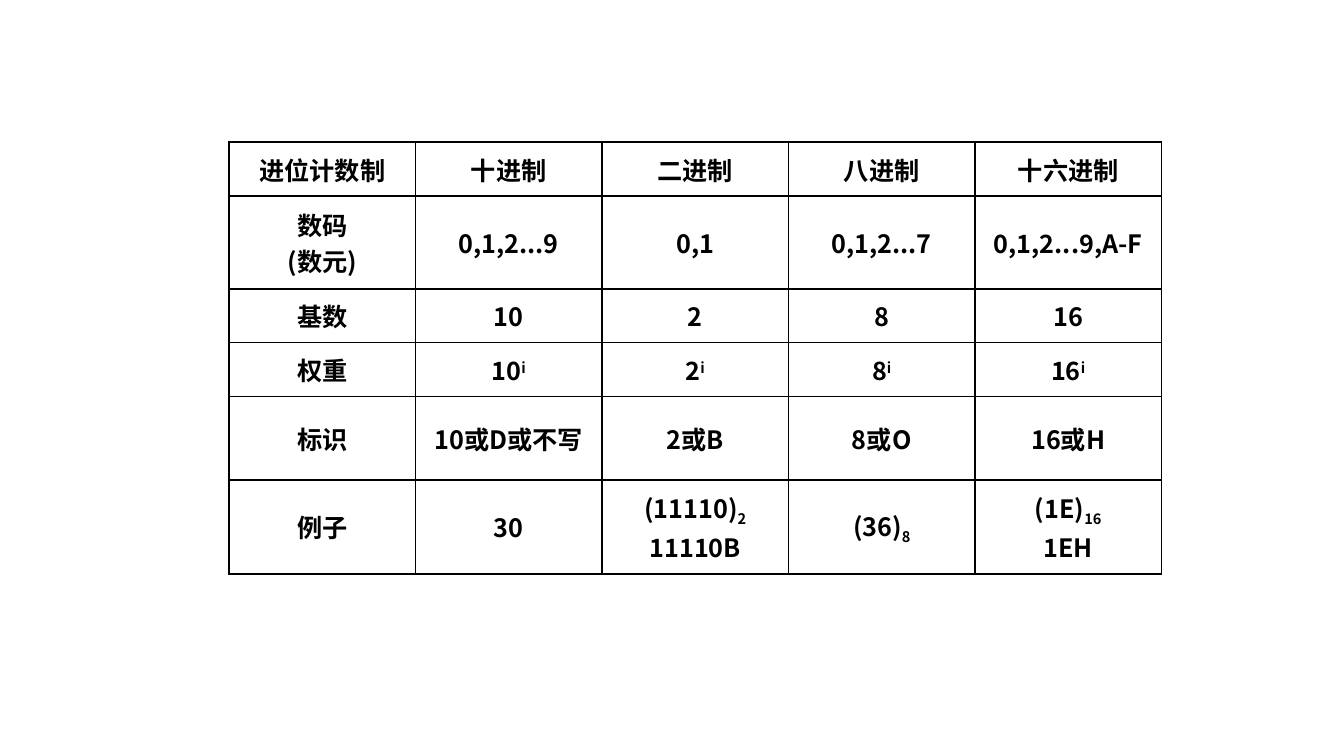
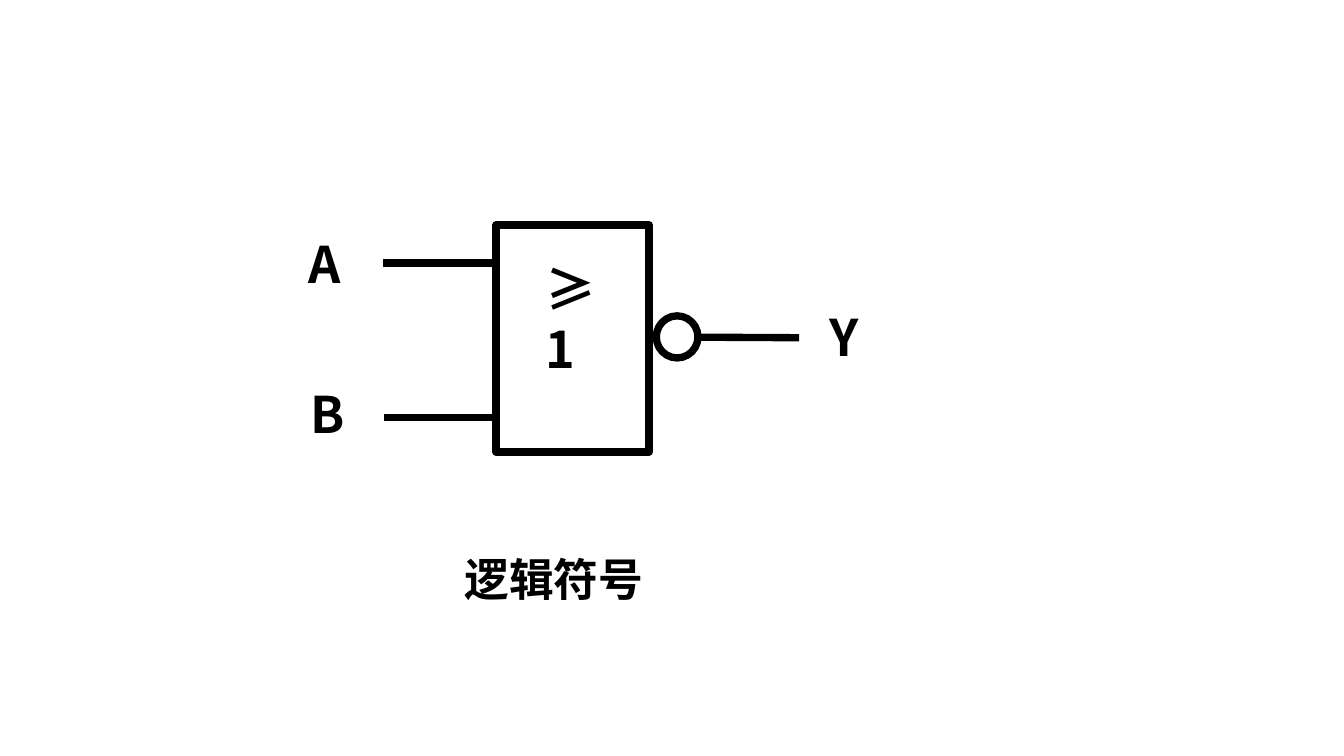
"""Build two slides: a number system table and the logic symbol of a NOR gate."""
from lxml import etree
from pptx import Presentation
from pptx.dml.color import RGBColor
from pptx.enum.shapes import MSO_CONNECTOR, MSO_SHAPE
from pptx.enum.text import MSO_ANCHOR, PP_ALIGN
from pptx.oxml.ns import qn
from pptx.util import Cm, Pt

BLACK = RGBColor(0x00, 0x00, 0x00)
WHITE = RGBColor(0xFF, 0xFF, 0xFF)
FONT = "Noto Sans CJK SC"
CENTER = PP_ALIGN.CENTER
MIDDLE = MSO_ANCHOR.MIDDLE
STRAIGHT = MSO_CONNECTOR.STRAIGHT
RECTANGLE = MSO_SHAPE.RECTANGLE
OVAL = MSO_SHAPE.OVAL

BASELINES = {"^": "30000", "_": "-25000"}
BORDER_WIDTH = Pt(1)
GATE_WIDTH = Pt(5.25)
TABLE_SIZE = 18
LABEL_SIZE = 36
CAPTION_SIZE = 32

COLUMN_WIDTH = 4.7
ROW_HEIGHTS = [1.36, 2.34, 1.36, 1.36, 1.36, 2.37]
NUMBER_SYSTEMS = [
    ["进位计数制", "十进制", "二进制", "八进制", "十六进制"],
    ["数码\n(数元)", "0,1,2...9", "0,1", "0,1,2...7", "0,1,2...9,A-F"],
    ["基数", "10", "2", "8", "16"],
    ["权重", "10^i", "2^i", "8^i", "16^i"],
    ["标识", "10或D或不写", "2或B", "8或O", "16或H"],
    ["例子", "30", "(11110)_2\n11110B", "(36)_8", "(1E)_16\n1EH"],
]


def add_span(para, text, size, baseline=None):
    """Add one bold black run, raised or lowered when a baseline is given."""
    span = para.add_run()
    span.text = text
    span.font.size = Pt(size)
    span.font.bold = True
    span.font.color.rgb = BLACK
    span.font.name = FONT
    properties = span.font._element
    etree.SubElement(properties, qn("a:ea"), typeface=FONT)
    if baseline:
        properties.set("baseline", baseline)


def add_marked_text(para, text, size):
    """Write text whose part after ^ is superscript and after _ subscript."""
    mark = next((mark for mark in BASELINES if mark in text), None)
    base, _, script = text.partition(mark) if mark else (text, "", "")
    add_span(para, base, size)
    if script:
        add_span(para, script, size, BASELINES[mark])


def set_borders(cell):
    """Draw a thin black line on all four sides of a cell."""
    properties = cell._tc.get_or_add_tcPr()
    for side in ("lnL", "lnR", "lnT", "lnB"):
        line = etree.SubElement(properties, qn(f"a:{side}"), w=str(BORDER_WIDTH))
        fill = etree.SubElement(line, qn("a:solidFill"))
        etree.SubElement(fill, qn("a:srgbClr"), val=str(BLACK))


def fill_cell(cell, text):
    """Give a cell its borders and its centred paragraphs."""
    set_borders(cell)
    cell.fill.background()
    cell.vertical_anchor = MIDDLE
    frame = cell.text_frame
    for index, line in enumerate(text.split("\n")):
        para = frame.add_paragraph() if index else frame.paragraphs[0]
        para.alignment = CENTER
        add_marked_text(para, line, TABLE_SIZE)


def add_grid(page, left, top, rows):
    """Add a plain ruled table with equal columns."""
    count = len(rows[0])
    frame = page.shapes.add_table(
        len(rows), count, Cm(left), Cm(top),
        Cm(COLUMN_WIDTH * count), Cm(sum(ROW_HEIGHTS)))
    table = frame.table
    table.first_row = False
    table.horz_banding = False
    for column in table.columns:
        column.width = Cm(COLUMN_WIDTH)
    for row, height, texts in zip(table.rows, ROW_HEIGHTS, rows):
        row.height = Cm(height)
        for cell, text in zip(row.cells, texts):
            fill_cell(cell, text)


def add_outline(page, kind, left, top, width, height):
    """Add a white shape with a heavy black outline."""
    shape = page.shapes.add_shape(kind, Cm(left), Cm(top), Cm(width), Cm(height))
    shape.shadow.inherit = False
    shape.fill.solid()
    shape.fill.fore_color.rgb = WHITE
    shape.line.color.rgb = BLACK
    shape.line.width = GATE_WIDTH


def add_wire(page, start_x, start_y, end_x, end_y):
    """Add a heavy black line."""
    wire = page.shapes.add_connector(
        STRAIGHT, Cm(start_x), Cm(start_y), Cm(end_x), Cm(end_y))
    wire.line.color.rgb = BLACK
    wire.line.width = GATE_WIDTH
    etree.SubElement(wire._element.spPr, qn("a:effectLst"))


def add_label(page, text, left, top, width, height=1.8, size=LABEL_SIZE):
    """Add a bold text box."""
    box = page.shapes.add_textbox(Cm(left), Cm(top), Cm(width), Cm(height))
    box.text_frame.word_wrap = True
    add_span(box.text_frame.paragraphs[0], text, size)


def build_table_page(page):
    """Compare the number systems."""
    add_grid(page, 5.77, 3.58, NUMBER_SYSTEMS)


def build_gate_page(page):
    """Draw the gate with its wires, negation circle and labels."""
    add_outline(page, RECTANGLE, 12.5, 5.67, 3.86, 5.72)
    add_wire(page, 9.66, 6.63, 12.5, 6.63)
    add_wire(page, 9.68, 10.52, 12.52, 10.52)
    add_wire(page, 16.36, 8.49, 20.14, 8.51)
    add_label(page, "≥1", 13.51, 6.38, 2.11)
    add_outline(page, OVAL, 16.54, 7.96, 1.05, 1.06)
    add_label(page, "逻辑符号", 11.45, 13.79, 5.1, 1.62, CAPTION_SIZE)
    add_label(page, "A", 7.52, 5.74, 1.38)
    add_label(page, "B", 7.58, 9.53, 1.3)
    add_label(page, "Y", 20.66, 7.6, 1.25)


def main():
    """Build and save the deck."""
    deck = Presentation()
    deck.slide_width = Cm(33.87)
    deck.slide_height = Cm(19.05)
    blank = deck.slide_layouts[6]
    for build in (build_table_page, build_gate_page):
        build(deck.slides.add_slide(blank))
    deck.save("out.pptx")


main()
